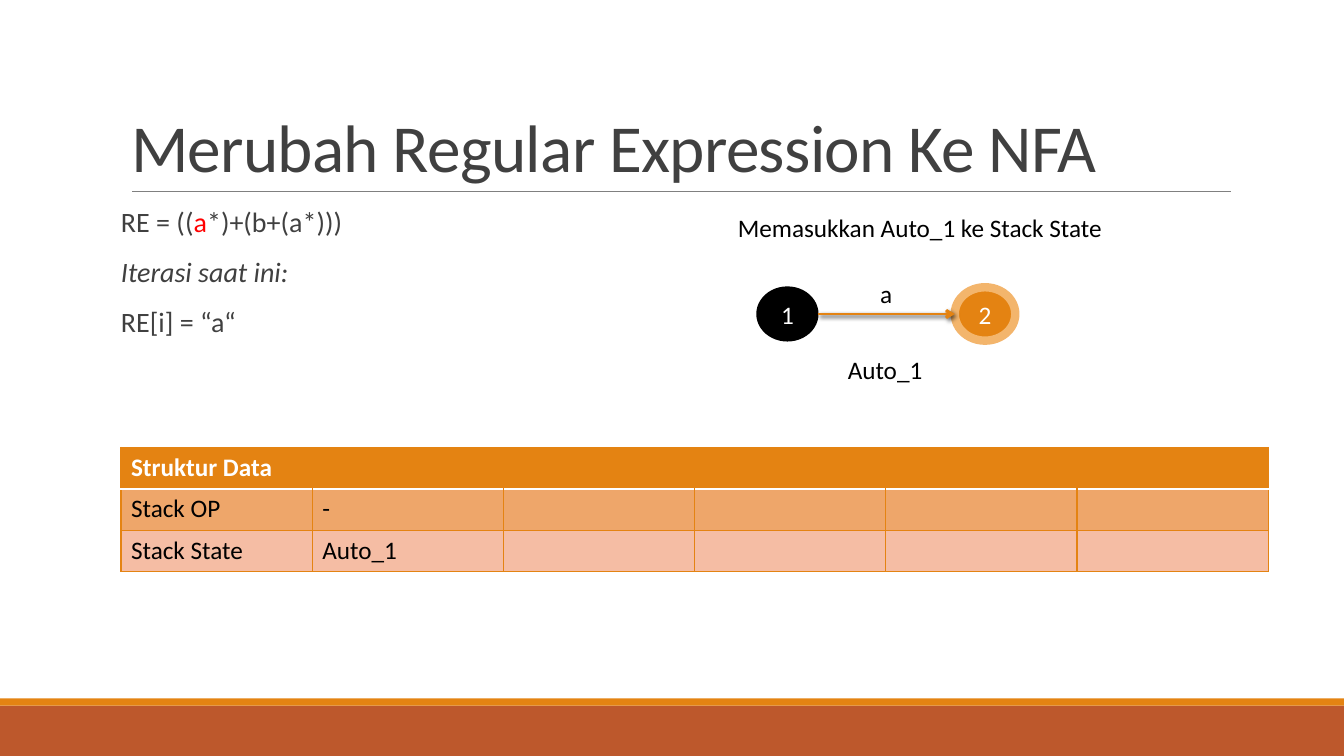
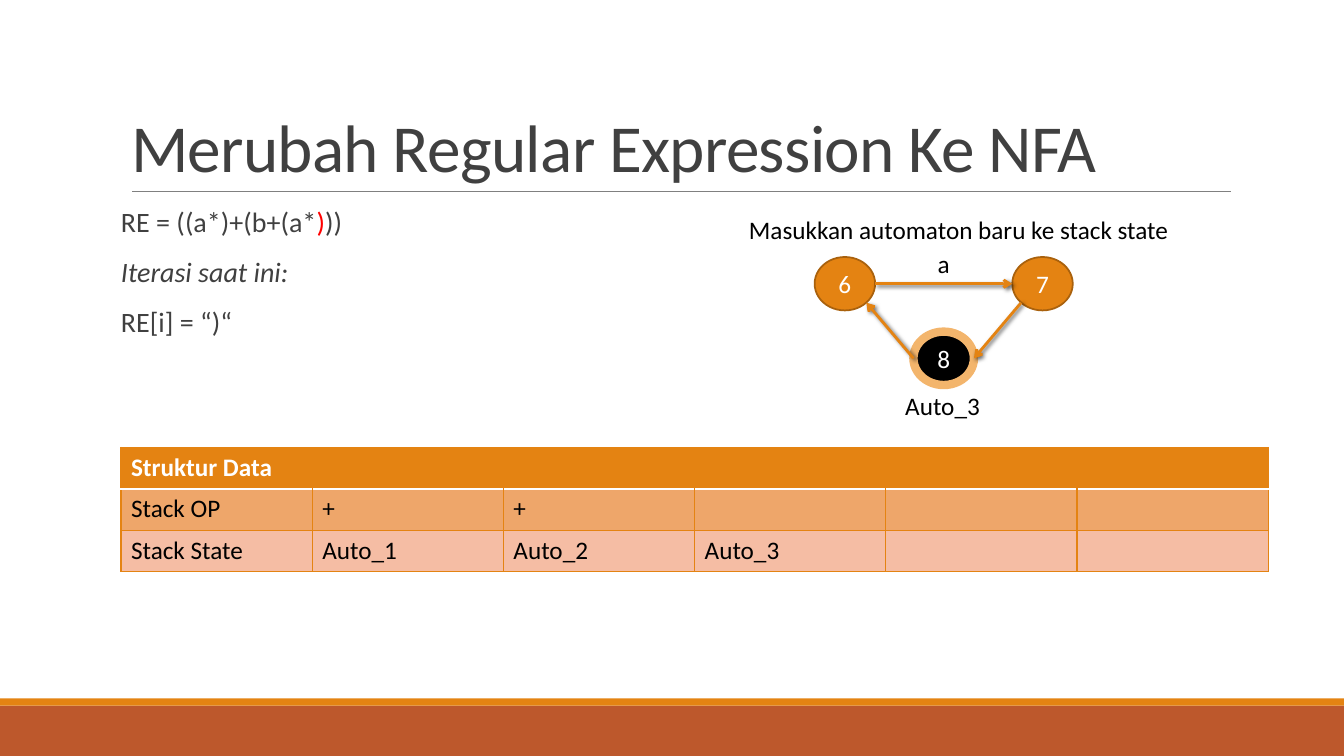
from math import cos, radians, sin

from lxml.etree import SubElement
from pptx import Presentation
from pptx.dml.color import RGBColor
from pptx.enum.shapes import MSO_CONNECTOR, MSO_SHAPE
from pptx.enum.text import MSO_ANCHOR, MSO_AUTO_SIZE, PP_ALIGN
from pptx.oxml import parse_xml
from pptx.oxml.ns import nsdecls, qn
from pptx.util import Pt

PX = 9144
WHITE = RGBColor(0xFF, 0xFF, 0xFF)
BLACK = RGBColor(0x00, 0x00, 0x00)
RED = RGBColor(0xFF, 0x00, 0x00)
GRAY = RGBColor(0x80, 0x80, 0x80)
CHARCOAL = RGBColor(0x40, 0x40, 0x40)
RUST = RGBColor(0xBD, 0x58, 0x2C)
ORANGE = RGBColor(0xE4, 0x83, 0x12)
BROWN = RGBColor(0xA9, 0x61, 0x0D)
APRICOT = RGBColor(0xF3, 0xB5, 0x6C)
SAND = RGBColor(0xEE, 0xA6, 0x6A)
PINK = RGBColor(0xF5, 0xBD, 0xA4)

TITLE_FONT = {"name": "Calibri", "size": Pt(48), "bold": False}
BODY_FONT = {"name": "Calibri", "size": Pt(20)}
SMALL_FONT = {"name": "Calibri", "size": Pt(18), "bold": False}
HEADER_FONT = {**SMALL_FONT, "bold": True}
TITLE_PARA = {"alignment": PP_ALIGN.LEFT, "line_spacing": 0.85}
BODY_PARA = {"line_spacing": 0.9, "space_before": Pt(12), "space_after": Pt(2)}
TITLE_FRAME = {"vertical_anchor": MSO_ANCHOR.BOTTOM, "auto_size": MSO_AUTO_SIZE.NONE}
BODY_FRAME = {
    "vertical_anchor": MSO_ANCHOR.TOP, "auto_size": MSO_AUTO_SIZE.NONE,
    "margin_left": 0, "margin_right": 0,
    "margin_top": 5 * PX, "margin_bottom": 5 * PX,
}
LABEL_FRAME = {"word_wrap": False, "auto_size": MSO_AUTO_SIZE.SHAPE_TO_FIT_TEXT}

START = (BLACK, BLACK, 1.25)
MIDDLE = (ORANGE, BROWN, 1.25)
FINAL = (ORANGE, APRICOT, 6)
START_FINAL = (BLACK, APRICOT, 6)

NODE_WIDTH, NODE_HEIGHT = 60, 53
NODE_STEP = 196
COLUMN_COUNT = 6
RIGHT, LOWER_RIGHT, LOWER_LEFT, LEFT = 0, 45, 135, 180


def apply(target, values):
    for name, value in values.items():
        setattr(target, name, value)


def scaled(*lengths):
    return [round(length * PX) for length in lengths]


def add_span(para, text, values, color):
    span = para.add_run()
    span.text = text
    apply(span.font, values)
    span.font.color.rgb = color
    return span


def site(node, angle):
    return (
        round(node.left + node.width / 2 * (1 + cos(radians(angle)))),
        round(node.top + node.height / 2 * (1 + sin(radians(angle)))),
    )


class Slides:
    def __init__(self):
        self.deck = Presentation()
        self.deck.slide_width, self.deck.slide_height = scaled(1333, 750)
        self.layout = self.deck.slide_layouts[1]
        self.page = None

    def new_page(self, title):
        first = self.page is None
        self.page = self.deck.slides.add_slide(self.layout)
        if first:
            self.decorate_layout()
        box = self.placeholder(0, (120, 31, 1100, 159), TITLE_FRAME)
        para = box.text_frame.paragraphs[0]
        apply(para, TITLE_PARA)
        span = add_span(para, title, TITLE_FONT, CHARCOAL)
        span.font._element.set("spc", "-50")

    def decorate_layout(self):
        parts = [
            self.shape(MSO_SHAPE.RECTANGLE, (0, 700, 1333, 50), RUST),
            self.shape(MSO_SHAPE.RECTANGLE, (0, 693, 1333, 7), ORANGE),
            self.line(scaled(131, 190), scaled(1221, 190), GRAY, 0.5),
        ]
        for position, part in enumerate(parts, 2):
            self.layout.shapes.element.insert(position, part.element)

    def placeholder(self, index, area, frame_values):
        box = self.page.placeholders[index]
        box.left, box.top, box.width, box.height = scaled(*area)
        apply(box.text_frame, frame_values)
        return box

    def shape(self, kind, area, fill, outline=None, weight=0):
        shape = self.page.shapes.add_shape(kind, *scaled(*area))
        shape.shadow.inherit = False
        shape.fill.solid()
        shape.fill.fore_color.rgb = fill
        if outline is None:
            shape.line.fill.background()
        else:
            shape.line.color.rgb = outline
            shape.line.width = Pt(weight)
        return shape

    def line(self, start, end, color, weight):
        line = self.page.shapes.add_connector(MSO_CONNECTOR.STRAIGHT, *start, *end)
        line.line.color.rgb = color
        line.line.width = Pt(weight)
        SubElement(line.element.spPr, qn("a:effectLst"))
        return line

    def arrow(self, source, source_angle, target, target_angle):
        arrow = self.line(site(source, source_angle), site(target, target_angle), ORANGE, 2)
        properties = arrow.element.spPr
        SubElement(properties.find(qn("a:ln")), qn("a:tailEnd"), type="arrow")
        properties.find(qn("a:effectLst")).append(parse_xml(
            f'<a:outerShdw {nsdecls("a")} blurRad="38100" dist="25400" dir="2700000"'
            ' rotWithShape="0"><a:srgbClr val="000000"><a:alpha val="60000"/>'
            "</a:srgbClr></a:outerShdw>"
        ))

    def node(self, left, top, text, look):
        area = (left, top, NODE_WIDTH, NODE_HEIGHT)
        node = self.shape(MSO_SHAPE.OVAL, area, *look)
        node.text_frame.vertical_anchor = MSO_ANCHOR.MIDDLE
        para = node.text_frame.paragraphs[0]
        para.alignment = PP_ALIGN.CENTER
        add_span(para, text, SMALL_FONT, WHITE)
        return node

    def label(self, left, top, width, text):
        box = self.page.shapes.add_textbox(*scaled(left, top, width, 40))
        apply(box.text_frame, LABEL_FRAME)
        add_span(box.text_frame.paragraphs[0], text, SMALL_FONT, BLACK)

    def expression(self, before, current, after):
        frame = self.placeholder(1, (120, 202, 1100, 440), BODY_FRAME).text_frame
        lines = [
            [(f"RE = {before}", CHARCOAL), (current, RED), (after, CHARCOAL)],
            [("Iterasi saat ini:", CHARCOAL)],
            [(f"RE[i] = “{current}“", CHARCOAL)],
        ]
        for number, spans in enumerate(lines):
            para = frame.add_paragraph() if number else frame.paragraphs[0]
            apply(para, BODY_PARA)
            properties = para._p.get_or_add_pPr()
            properties.set("marL", "0")
            properties.set("indent", "0")
            SubElement(properties, qn("a:buNone"))
            for text, color in spans:
                add_span(para, text, {**BODY_FONT, "italic": number == 1}, color)

    def borders(self, cell, edges):
        properties = cell._tc.get_or_add_tcPr()
        for position, (side, color) in enumerate(zip("LRTB", edges)):
            weight = Pt(1.25 if color == WHITE else 1)
            paint = (
                f'<a:solidFill><a:srgbClr val="{color}"/></a:solidFill>'
                if color is not None else "<a:noFill/>"
            )
            properties.insert(position, parse_xml(
                f'<a:ln{side} {nsdecls("a")} w="{weight}">{paint}</a:ln{side}>'
            ))

    def stacks(self, operators, states):
        rows = [
            (["Struktur Data"], ORANGE, HEADER_FONT, WHITE),
            (["Stack OP", *operators], SAND, SMALL_FONT, BLACK),
            (["Stack State", *states], PINK, SMALL_FONT, BLACK),
        ]
        area = scaled(120, 444, 1138, 123)
        table = self.page.shapes.add_table(len(rows), COLUMN_COUNT, *area).table
        table.horz_banding = False
        for row, (texts, fill, font, color) in enumerate(rows):
            table.rows[row].height = 41 * PX
            for column in range(COLUMN_COUNT):
                cell = table.cell(row, column)
                cell.fill.solid()
                cell.fill.fore_color.rgb = fill
                if column < len(texts):
                    add_span(cell.text_frame.paragraphs[0], texts[column], font, color)
                self.borders(cell, (
                    ORANGE if row or column == 0 else None,
                    ORANGE if row or column == COLUMN_COUNT - 1 else None,
                    WHITE if row == 1 else ORANGE,
                    WHITE if row == 0 else ORANGE,
                ))


def main():
    slides = Slides()
    title = "Merubah Regular Expression Ke NFA"

    slides.new_page(title)
    slides.expression("((", "a", "*)+(b+(a*)))")
    slides.stacks(["-"], ["Auto_1"])
    slides.label(722, 206, 383, "Memasukkan Auto_1 ke Stack State")
    one = slides.node(751, 285, "1", START)
    two = slides.node(751 + NODE_STEP, 285, "2", FINAL)
    slides.arrow(one, RIGHT, two, LEFT)
    slides.label(863, 271, 32, "a")
    slides.label(831, 347, 95, "Auto_1")

    slides.new_page(title)
    slides.expression("((a*)+(b+(a*", ")", "))")
    slides.stacks(["+", "+"], ["Auto_1", "Auto_2", "Auto_3"])
    six = slides.node(808, 255, "6", MIDDLE)
    seven = slides.node(808 + NODE_STEP, 255, "7", MIDDLE)
    eight = slides.node(808 + NODE_STEP // 2, 329, "8", START_FINAL)
    slides.arrow(six, RIGHT, seven, LEFT)
    slides.arrow(seven, LOWER_LEFT, eight, RIGHT)
    slides.arrow(eight, LEFT, six, LOWER_RIGHT)
    slides.label(920, 241, 32, "a")
    slides.label(888, 382, 95, "Auto_3")
    slides.label(733, 208, 440, "Masukkan automaton baru ke stack state")

    slides.deck.save("out.pptx")


if __name__ == "__main__":
    main()
